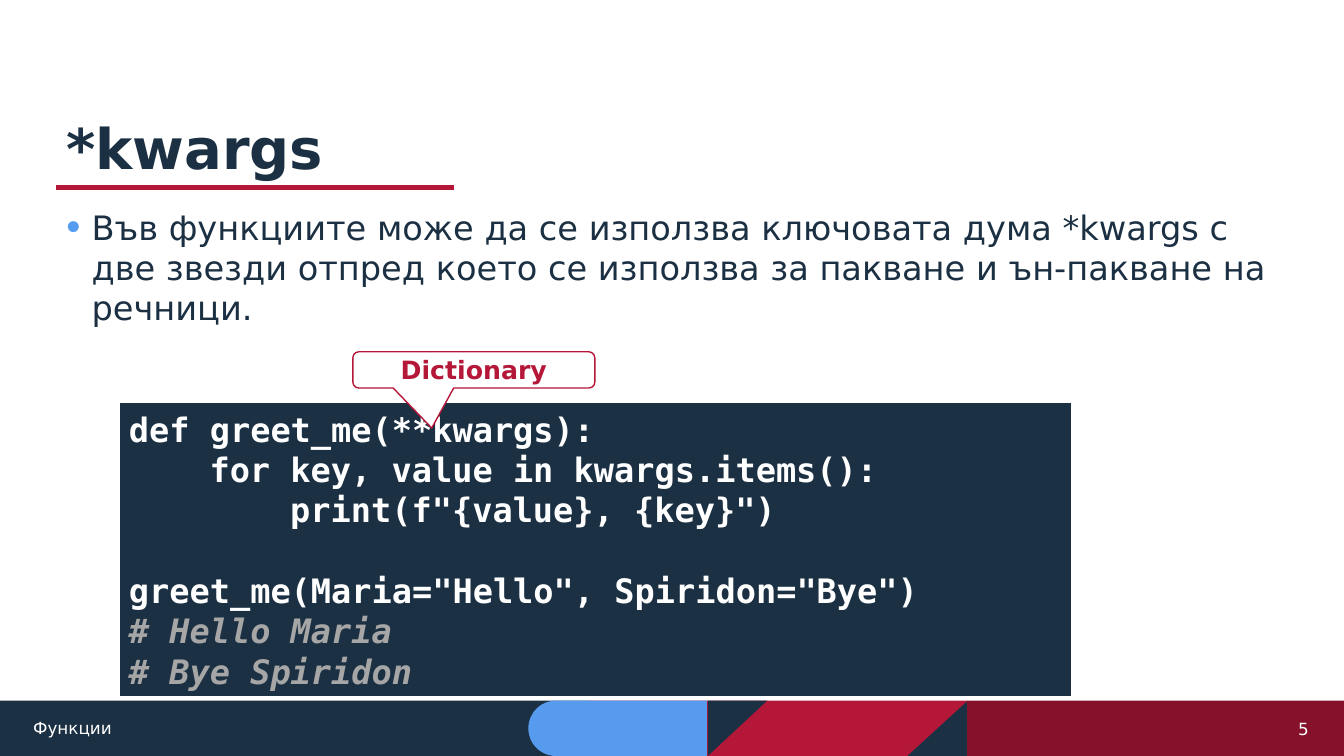
from dataclasses import dataclass
from typing import Optional

from lxml.etree import SubElement
from pptx import Presentation
from pptx.dml.color import RGBColor
from pptx.enum.shapes import MSO_CONNECTOR, MSO_SHAPE as Preset
from pptx.enum.text import MSO_ANCHOR as Anchor, PP_ALIGN as Align
from pptx.oxml.ns import qn
from pptx.util import Inches, Pt

NAVY, RED, DARK_RED, BLUE = "1B3043", "B51739", "85112B", "579BEF"
WHITE, GRAY, BULLET_BLUE = "FFFFFF", "A6A6A6", "559BEF"
SANS, MONO = "DejaVu Sans", "DejaVu Sans Mono"
CODE_INDENT = 0.8  # four characters of the code font


@dataclass(frozen=True)
class Block:
    preset: Preset
    box: tuple[float, float, float, float]
    fill: str
    line: Optional[str] = None
    line_width: float = 1
    adjustments: tuple[float, ...] = ()
    rotation: float = 0
    flip: str = ""


@dataclass(frozen=True)
class CodeLine:
    text: str
    level: int = 0
    color: str = WHITE
    italic: bool = False
    space_before: float = 0


FOOTER_BLOCKS = [
    Block(Preset.RECTANGLE, (0, 6.95, 5.85, 0.55), NAVY),
    Block(Preset.RECTANGLE, (9.59, 6.95, 3.74, 0.55), DARK_RED),
    Block(Preset.RECTANGLE, (5.85, 6.95, 3.74, 0.55), RED),
    Block(Preset.RIGHT_TRIANGLE, (9, 6.96, 0.59, 0.54), NAVY, flip="flipH"),
    Block(Preset.ROUND_2_SAME_RECTANGLE, (5.85, 6.34, 0.55, 1.77), BLUE,
          adjustments=(0.5, 0), rotation=270),
    Block(Preset.RIGHT_TRIANGLE, (7.02, 6.95, 0.59, 0.55), NAVY, flip="flipV"),
]
CODE_PANEL = Block(Preset.RECTANGLE, (1.18, 3.99, 9.45, 2.93), NAVY, WHITE, 1.5)
CALLOUT = Block(Preset.ROUNDED_RECTANGULAR_CALLOUT, (3.5, 3.49, 2.4, 0.36), WHITE, RED,
                adjustments=(-0.174, 1.603, 0.167))
CODE_LINES = [
    CodeLine("def greet_me(**kwargs):"),
    CodeLine("for key, value in kwargs.items():", level=1),
    CodeLine('print(f"{value}, {key}")', level=2),
    CodeLine('greet_me(Maria="Hello", Spiridon="Bye")', space_before=28.8),
    CodeLine("# Hello Maria", color=GRAY, italic=True),
    CodeLine("# Bye Spiridon", color=GRAY, italic=True),
]


def rgb(color: str) -> RGBColor:
    return RGBColor.from_string(color)


def add_block(slide, block: Block):
    shape = slide.shapes.add_shape(block.preset, *map(Inches, block.box))
    shape.shadow.inherit = False
    shape.fill.solid()
    shape.fill.fore_color.rgb = rgb(block.fill)
    if block.line:
        shape.line.color.rgb = rgb(block.line)
        shape.line.width = Pt(block.line_width)
    else:
        shape.line.fill.background()
    for index, value in enumerate(block.adjustments):
        shape.adjustments[index] = value
    shape.rotation = block.rotation
    if block.flip:
        shape._element.spPr.find(qn("a:xfrm")).set(block.flip, "1")
    return shape


def add_text(frame, text: str, *, size: float, color: str, font: str = SANS,
             bold: bool = False, italic: bool = False, align=Align.LEFT,
             anchor=Anchor.MIDDLE, first: bool = True):
    frame.word_wrap = True
    frame.vertical_anchor = anchor
    paragraph = frame.paragraphs[0] if first else frame.add_paragraph()
    paragraph.alignment = align
    run = paragraph.add_run()
    run.text = text
    run.font.name, run.font.size = font, Pt(size)
    run.font.bold, run.font.italic = bold, italic
    run.font.color.rgb = rgb(color)
    return paragraph


def add_text_box(slide, box: tuple[float, float, float, float], text: str, **text_format):
    text_box = slide.shapes.add_textbox(*map(Inches, box))
    return add_text(text_box.text_frame, text, **text_format)


def set_indent(paragraph, left: float, first_line: float = 0):
    properties = paragraph._p.get_or_add_pPr()
    properties.set("marL", str(Inches(left)))
    properties.set("indent", str(Inches(first_line)))
    return properties


def add_bullet(paragraph) -> None:
    properties = set_indent(paragraph, 0.25, -0.25)
    bullet_color = SubElement(properties, qn("a:buClr"))
    SubElement(bullet_color, qn("a:srgbClr"), val=BULLET_BLUE)
    SubElement(properties, qn("a:buSzPct"), val="120000")
    SubElement(properties, qn("a:buFont"), typeface="Arial")
    SubElement(properties, qn("a:buChar"), char="•")


def main() -> None:
    presentation = Presentation()
    presentation.slide_width, presentation.slide_height = Inches(13.33), Inches(7.5)
    slide = presentation.slides.add_slide(presentation.slide_layouts[6])

    # Footer band
    for block in FOOTER_BLOCKS:
        add_block(slide, block)

    # Title and its underline
    underline = slide.shapes.add_connector(
        MSO_CONNECTOR.STRAIGHT, *map(Inches, (0.56, 1.86, 4.5, 1.86)))
    underline.line.color.rgb = rgb(RED)
    underline.line.width = Pt(3)
    SubElement(underline._element.spPr, qn("a:effectLst"))
    title = add_text_box(slide, (0.56, 0.4, 12.2, 1.45), "*kwargs", size=40, color=NAVY,
                         bold=True, anchor=Anchor.BOTTOM)
    title.line_spacing = 0.9

    # Explanation
    body = add_text_box(
        slide, (0.56, 2, 12.2, 2.13),
        "Във функциите може да се използва ключовата дума *kwargs с две звезди отпред "
        "което се използва за пакване и ън-пакване на речници.",
        size=24, color=NAVY, anchor=Anchor.TOP)
    body.space_before = body.space_after = Pt(10)
    add_bullet(body)

    # Code panel
    code_frame = add_block(slide, CODE_PANEL).text_frame
    for index, line in enumerate(CODE_LINES):
        paragraph = add_text(code_frame, line.text, size=24, color=line.color, font=MONO,
                             bold=True, italic=line.italic, first=index == 0)
        paragraph.space_before = Pt(line.space_before)
        set_indent(paragraph, line.level * CODE_INDENT)

    # Callout
    add_text(add_block(slide, CALLOUT).text_frame, "Dictionary", size=18, color=RED,
             bold=True, align=Align.CENTER)

    # Footer text
    add_text_box(slide, (0.23, 7.02, 4.87, 0.4), "Функции", size=12, color=WHITE)
    add_text_box(slide, (9.82, 7.03, 3.26, 0.4), "5", size=12, color=WHITE, align=Align.RIGHT)

    presentation.save("out.pptx")


if __name__ == "__main__":
    main()
